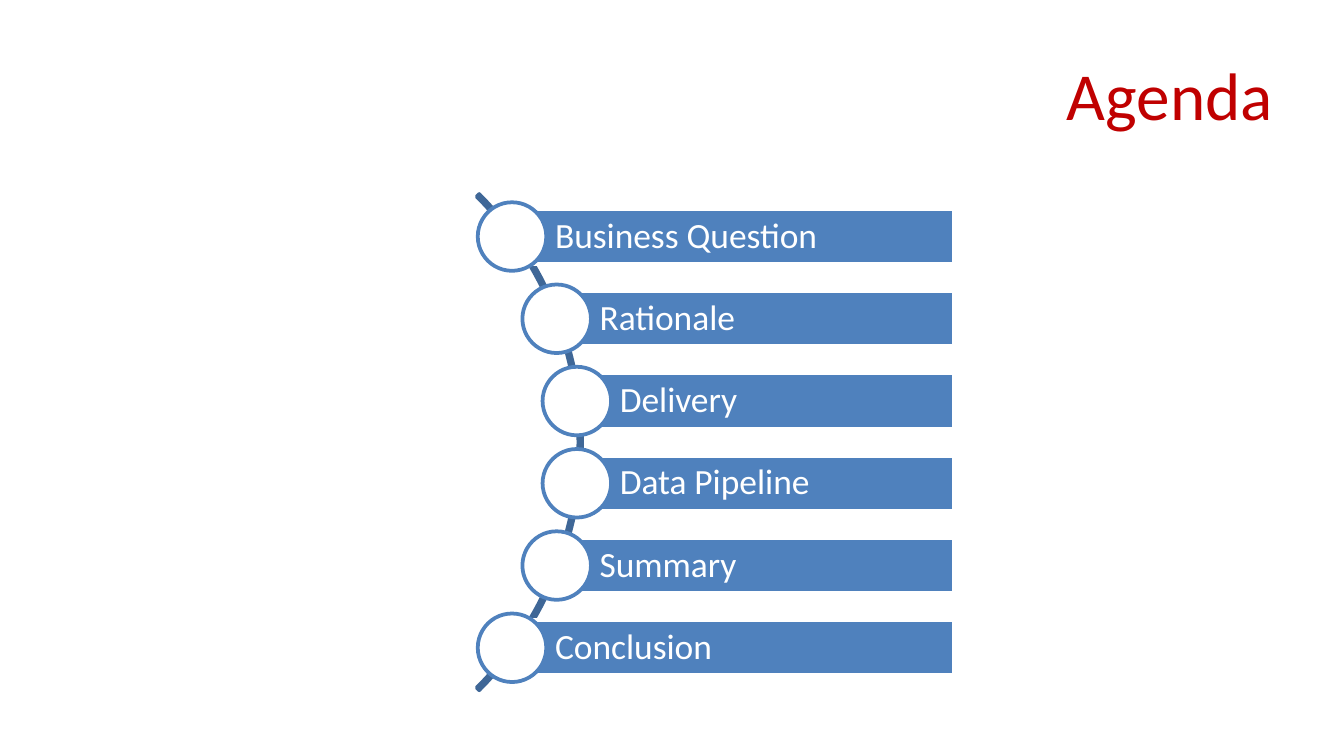
"""Build an agenda slide with six topics set along an arc."""
import math
import pptx
import pptx.util
import pptx.dml.color
import pptx.enum.shapes
import pptx.enum.text
from dataclasses import dataclass

TITLE = "Agenda"
TOPICS = ["Business Question", "Rationale", "Delivery", "Data Pipeline", "Summary", "Conclusion"]


@dataclass(frozen=True)
class Theme:
    font: str = "Calibri"
    title_color: str = "C00000"
    bar_color: str = "4F81BD"
    arc_color: str = "3F6797"
    white: str = "FFFFFF"
    title_size: int = 36
    topic_size: int = 19
    line_width: int = 2


THEME = Theme()
Inches = pptx.util.Inches
SHAPES = pptx.enum.shapes.MSO_SHAPE
ALIGN = pptx.enum.text.PP_ALIGN

CENTER_X, CENTER_Y = 1.72, 3.29
ARC_SIZE = 5.22
PATH_RADIUS = 2.59
ROWS_SPAN = 3.06
ROW_STEP = ROWS_SPAN / (len(TOPICS) - 1)
BAR_RIGHT, BAR_HEIGHT = 7.1, 0.41
CIRCLE_SIZE = 0.51


def color(value):
    return pptx.dml.color.RGBColor.from_string(value)


def add_shape(slide, kind, box, fill, line):
    shape = slide.shapes.add_shape(kind, *map(Inches, box))
    shape.shadow.inherit = False
    if fill:
        shape.fill.solid()
        shape.fill.fore_color.rgb = color(fill)
    else:
        shape.fill.background()
    shape.line.color.rgb = color(line)
    shape.line.width = pptx.util.Pt(THEME.line_width)
    return shape


def write_text(shape, text, size, text_color, alignment, margins, spacing=1.0):
    frame = shape.text_frame
    frame.word_wrap = True
    frame.vertical_anchor = pptx.enum.text.MSO_ANCHOR.MIDDLE
    for side, margin in margins.items():
        setattr(frame, f"margin_{side}", Inches(margin))
    paragraph = frame.paragraphs[0]
    paragraph.alignment = alignment
    paragraph.line_spacing = spacing
    run = paragraph.add_run()
    run.text = text
    formats = {"name": THEME.font, "size": pptx.util.Pt(size)}
    for name, value in formats.items():
        setattr(run.font, name, value)
    run.font.color.rgb = color(text_color)


def add_topic(slide, index, topic):
    offset = index * ROW_STEP - ROWS_SPAN / 2
    x = CENTER_X + math.sqrt(PATH_RADIUS ** 2 - offset ** 2)
    y = CENTER_Y + offset
    bar_box = (x, y - BAR_HEIGHT / 2, BAR_RIGHT - x, BAR_HEIGHT)
    bar = add_shape(slide, SHAPES.RECTANGLE, bar_box, THEME.bar_color, THEME.white)
    margins = {"left": 0.32, "top": 0.05, "right": 0.05, "bottom": 0.05}
    write_text(bar, topic, THEME.topic_size, THEME.white, ALIGN.LEFT, margins, 0.9)
    circle_box = (x - CIRCLE_SIZE / 2, y - CIRCLE_SIZE / 2, CIRCLE_SIZE, CIRCLE_SIZE)
    add_shape(slide, SHAPES.OVAL, circle_box, THEME.white, THEME.bar_color)


presentation = pptx.Presentation()
presentation.slide_width = Inches(10)
presentation.slide_height = Inches(10 * 9 / 16)
slide = presentation.slides.add_slide(presentation.slide_layouts[6])

title = slide.shapes.add_textbox(*map(Inches, (0.54, 0.28, 9.03, 0.84)))
write_text(title, TITLE, THEME.title_size, THEME.title_color, ALIGN.RIGHT, {"left": 0.1, "right": 0.1})

arc_box = (CENTER_X - ARC_SIZE / 2, CENTER_Y - ARC_SIZE / 2, ARC_SIZE, ARC_SIZE)
arc = add_shape(slide, SHAPES.BLOCK_ARC, arc_box, None, THEME.arc_color)
for index, value in enumerate((189, 27, 0.005)):
    arc.adjustments[index] = value

for index, topic in enumerate(TOPICS):
    add_topic(slide, index, topic)

presentation.save("out.pptx")
